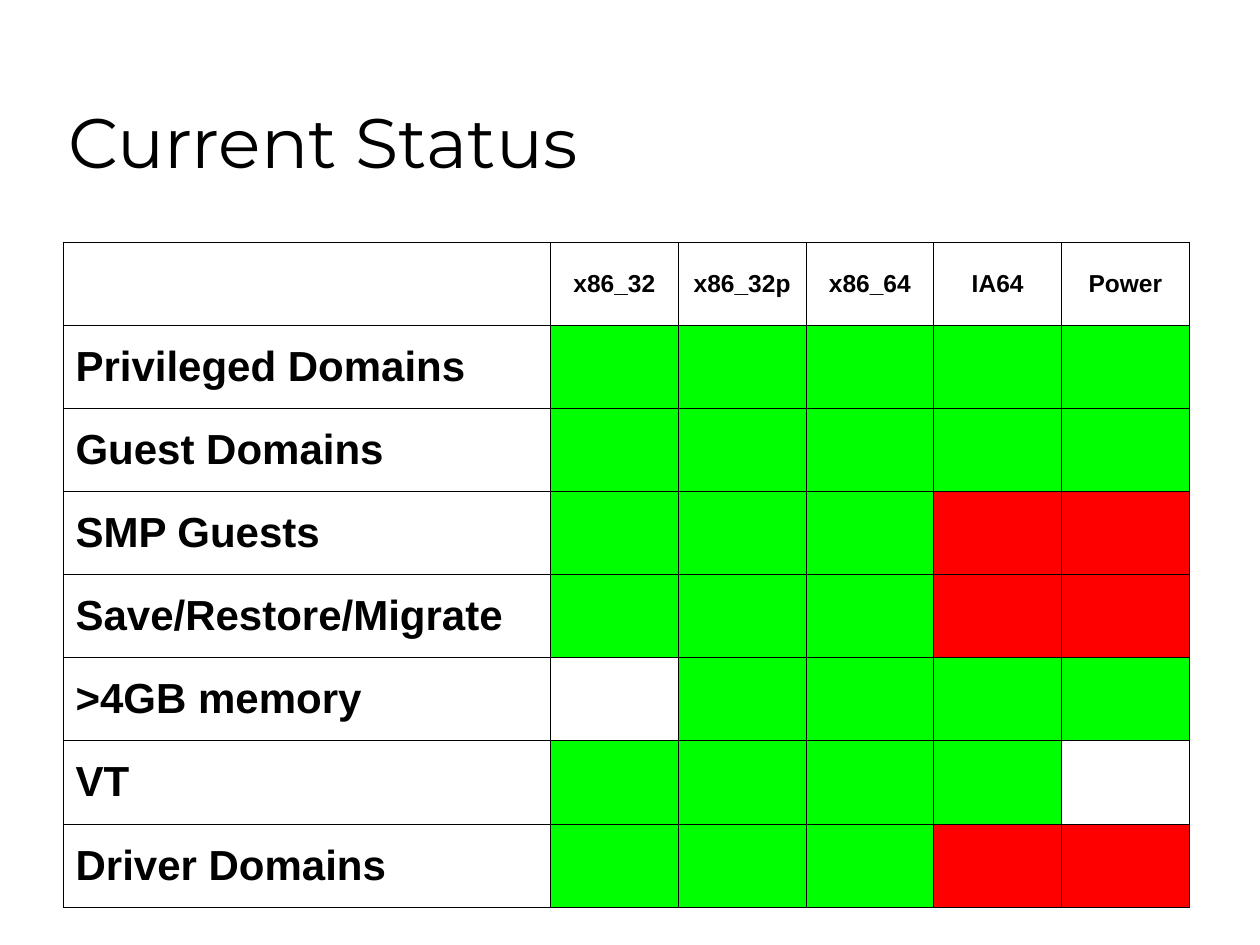
from lxml.etree import SubElement
from pptx import Presentation
from pptx.dml.color import RGBColor
from pptx.enum.text import MSO_ANCHOR, PP_ALIGN
from pptx.oxml.ns import qn
from pptx.util import Inches, Pt

BLACK, WHITE = "000000", "FFFFFF"
STATUS_COLOURS = {"+": "00FF00", "-": "FF0000", " ": WHITE}
ARCHITECTURES = ["x86_32", "x86_32p", "x86_64", "IA64", "Power"]
FEATURES = [
    ("Privileged Domains", "+++++"),
    ("Guest Domains", "+++++"),
    ("SMP Guests", "+++--"),
    ("Save/Restore/Migrate", "+++--"),
    (">4GB memory", " ++++"),
    ("VT", "++++ "),
    ("Driver Domains", "+++--"),
]


def colour(code):
    """Turn a hex string into a colour."""
    return RGBColor.from_string(code)


def style_text(paragraph, face, size, bold, align=PP_ALIGN.LEFT):
    """Set the font and alignment of a paragraph."""
    paragraph.alignment = align
    font = paragraph.font
    font.name, font.size, font.bold = face, Pt(size), bold
    font.color.rgb = colour(BLACK)


def add_title(slide, text):
    """Fill and place the title placeholder."""
    title = slide.shapes.title
    title.left, title.top = Inches(0.44), Inches(0.25)
    title.width, title.height = Inches(8.5), Inches(1.25)
    title.text_frame.text = text
    title.text_frame.vertical_anchor = MSO_ANCHOR.BOTTOM
    style_text(title.text_frame.paragraphs[0], "Montserrat", 40, False)


def paint_cell(cell, fill):
    """Give a cell thin black borders and a solid fill."""
    properties = cell._tc.get_or_add_tcPr()
    for side in ("lnL", "lnR", "lnT", "lnB"):
        border = SubElement(properties, qn(f"a:{side}"), w=str(Pt(0.45)))
        SubElement(SubElement(border, qn("a:solidFill")), qn("a:srgbClr"), val=BLACK)
    cell.fill.solid()
    cell.fill.fore_color.rgb = colour(fill)


def label_cell(cell, text, size, align):
    """Write a bold label in the middle of a cell's height."""
    cell.text = text
    cell.vertical_anchor = MSO_ANCHOR.MIDDLE
    style_text(cell.text_frame.paragraphs[0], "Arial", size, True, align)


def add_status_table(slide):
    """Add the grid of features against architectures."""
    rows, columns = len(FEATURES) + 1, len(ARCHITECTURES) + 1
    table = slide.shapes.add_table(
        rows, columns, Inches(0.5), Inches(1.92), Inches(8.94), Inches(5.28)
    ).table
    table.first_row = table.horz_banding = False
    for index, column in enumerate(table.columns):
        column.width = Inches(1.014 if index else 3.87)
    for row in table.rows:
        row.height = Inches(0.66)
    for cell in table.iter_cells():
        paint_cell(cell, WHITE)
    for column, architecture in enumerate(ARCHITECTURES, 1):
        label_cell(table.cell(0, column), architecture, 14, PP_ALIGN.CENTER)
    for row, (feature, statuses) in enumerate(FEATURES, 1):
        label_cell(table.cell(row, 0), feature, 24, PP_ALIGN.LEFT)
        for column, status in enumerate(statuses, 1):
            table.cell(row, column).fill.fore_color.rgb = colour(STATUS_COLOURS[status])


def main():
    """Build the slide and save it."""
    deck = Presentation()
    deck.slide_width, deck.slide_height = Inches(10), Inches(7.5)
    slide = deck.slides.add_slide(deck.slide_layouts[5])
    add_title(slide, "Current Status")
    add_status_table(slide)
    deck.save("out.pptx")


if __name__ == "__main__":
    main()
